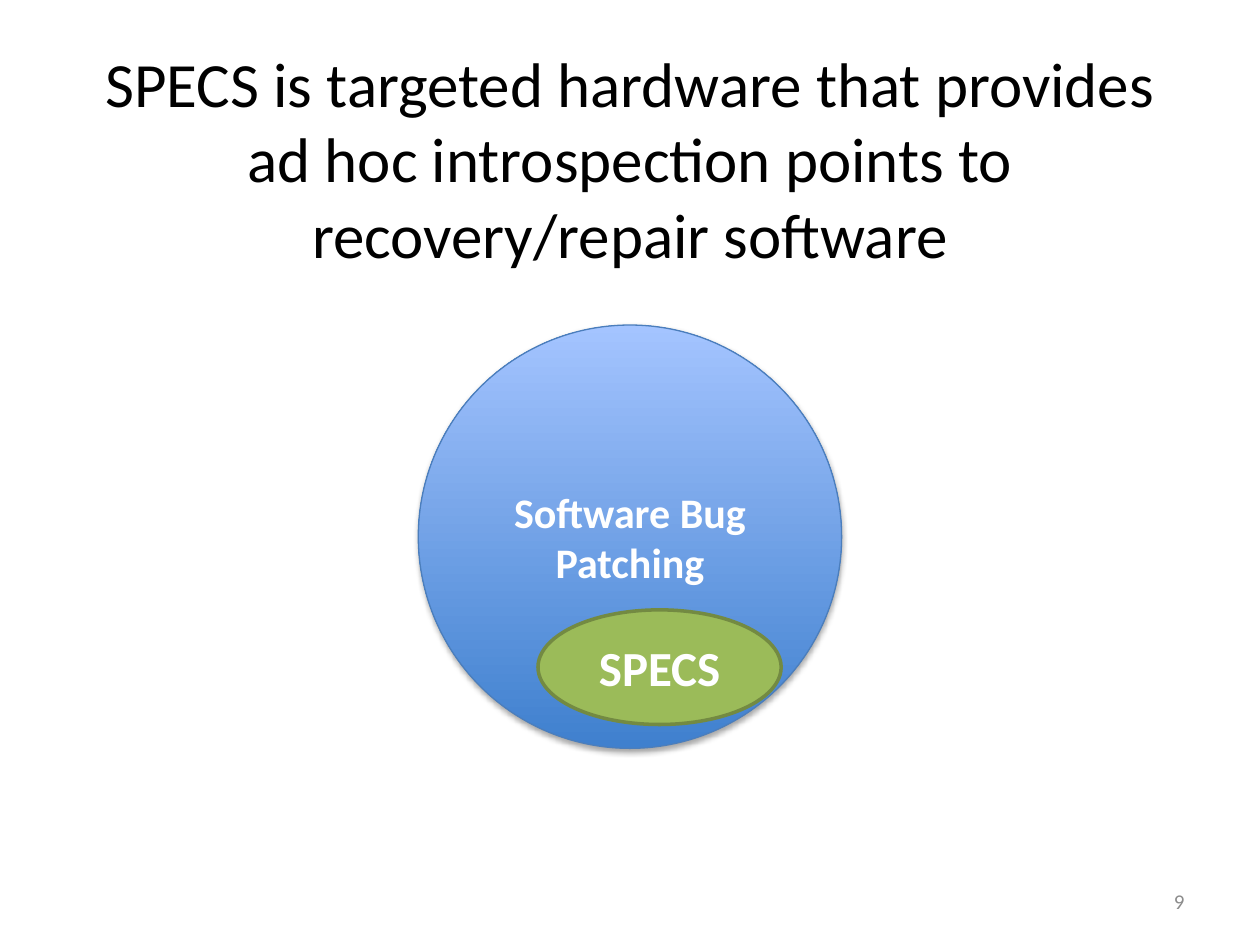
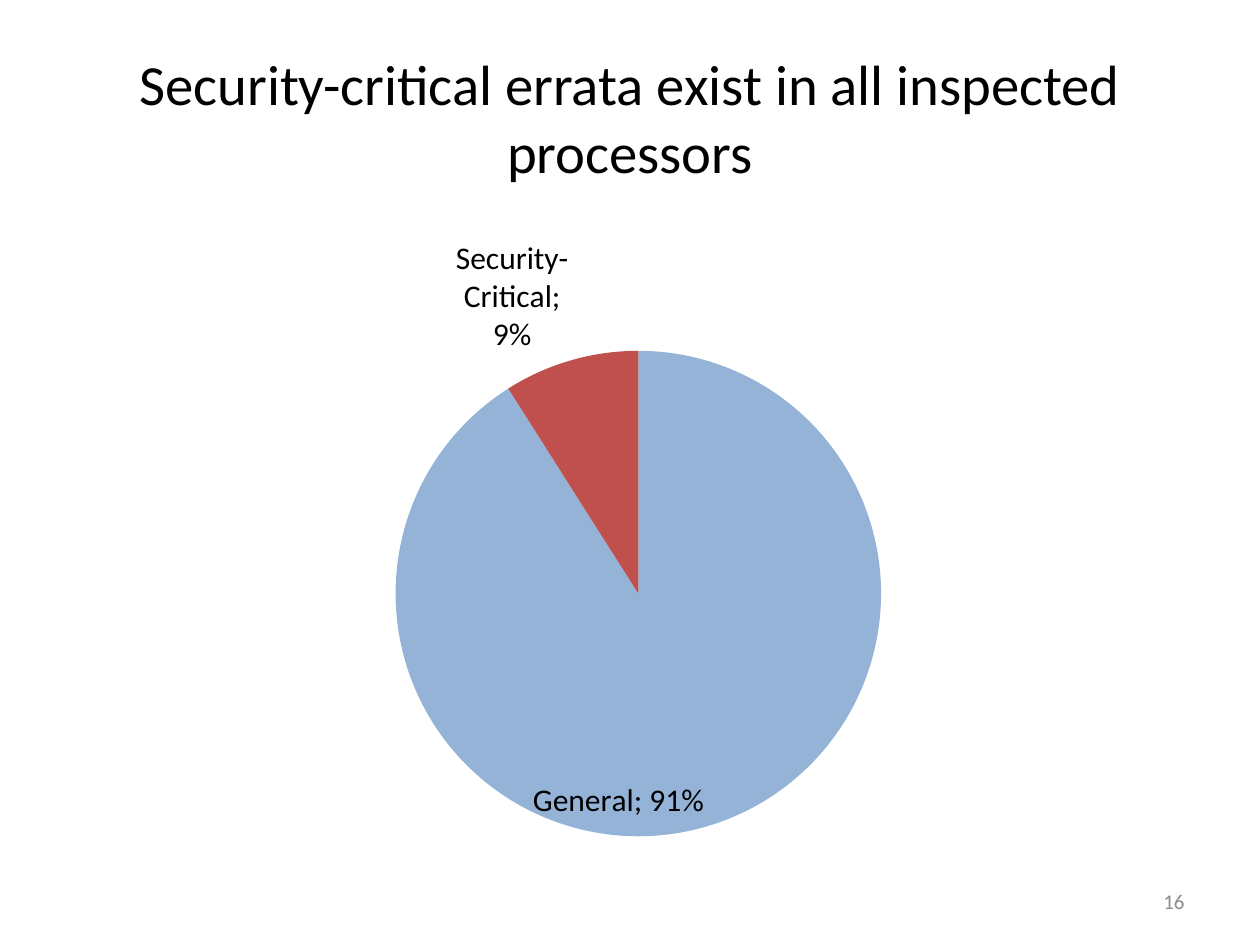
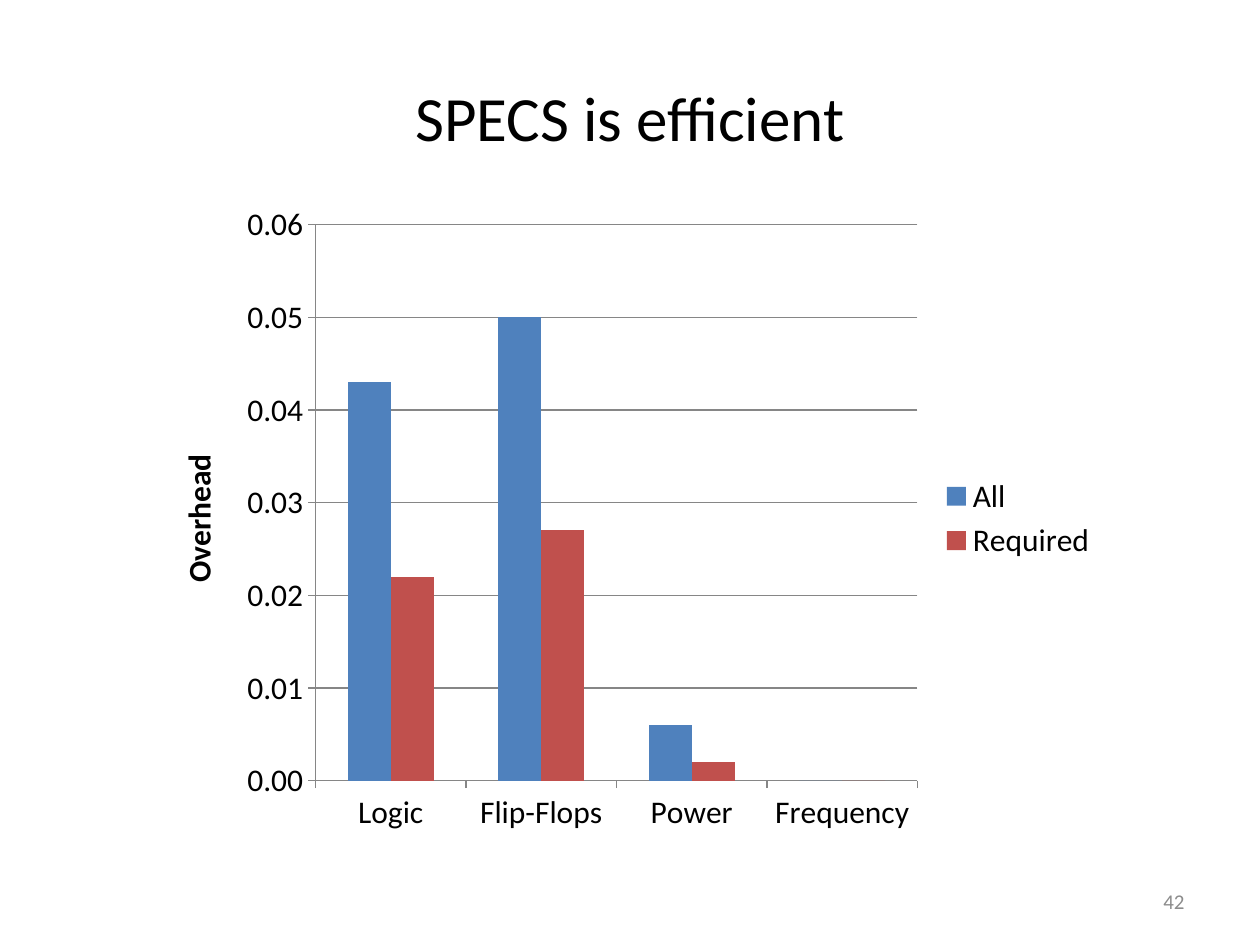
from dataclasses import dataclass
from typing import Any, Optional

import pptx
import pptx.chart.data
import pptx.dml.color
import pptx.enum.chart
import pptx.enum.shapes
import pptx.enum.text
import pptx.oxml
import pptx.oxml.ns
import pptx.util
from pptx.util import Inches

# Shared style
FONT = "Calibri"
COLORS = {
    "text": "000000",
    "white": "FFFFFF",
    "number": "8C8C8C",
    "axis": "868686",
    "blue": "4F81BD",
    "light blue": "95B3D7",
    "red": "C0504D",
    "green": "9BBB59",
    "green edge": "738A42",
    "circle bottom": "3F80CE",
    "circle top": "A4C4FF",
    "circle edge": "4B7EBC",
}
ALIGN = pptx.enum.text.PP_ALIGN
ANCHOR = pptx.enum.text.MSO_ANCHOR
CHART = pptx.enum.chart


@dataclass
class Box:
    left: float
    top: float
    width: float
    height: float

    def lengths(self) -> tuple:
        return tuple(Inches(value) for value in (self.left, self.top, self.width, self.height))


@dataclass
class Ellipse:
    text: str
    box: Box
    size: float
    fills: tuple  # one colour, or the bottom and top of a gradient
    edge: str
    edge_width: float
    shadow: bool = False


NUMBER_BOX = Box(7.17, 6.95, 2.33, 0.4)
ELLIPSES = [
    Ellipse("Software Bug Patching", Box(3.32, 2.58, 3.36, 3.36), 24,
            ("circle bottom", "circle top"), "circle edge", 0.75, shadow=True),
    Ellipse("SPECS", Box(4.27, 4.84, 1.93, 0.91), 28, ("green",), "green edge", 2),
]


def rgb(name: str) -> pptx.dml.color.RGBColor:
    return pptx.dml.color.RGBColor.from_string(COLORS[name])


def style_font(font: Any, size: float, color: str = "text", bold: bool = False) -> None:
    font.name = FONT
    font.size = pptx.util.Pt(size)
    font.bold = bold
    font.color.rgb = rgb(color)


def write(frame: Any, text: str, *, size: float, color: str = "text", bold: bool = False,
          align: Any = ALIGN.CENTER) -> None:
    paragraph = frame.paragraphs[0]
    paragraph.alignment = align
    run = paragraph.add_run()
    run.text = text
    style_font(run.font, size, color, bold)


def add_slide(presentation: Any, title: str, number: int, *, size: float = 36,
              height: float = 1.25, anchor: Any = ANCHOR.MIDDLE) -> Any:
    """Add a slide with its title and slide number."""
    slide = presentation.slides.add_slide(presentation.slide_layouts[5])
    shape = slide.shapes.title
    shape.left, shape.top, shape.width, shape.height = Box(0.5, 0.3, 9, height).lengths()
    frame = shape.text_frame
    frame.auto_size = pptx.enum.text.MSO_AUTO_SIZE.NONE
    frame.vertical_anchor = anchor
    write(frame, title, size=size)

    number_frame = slide.shapes.add_textbox(*NUMBER_BOX.lengths()).text_frame
    number_frame.word_wrap = True
    number_frame.vertical_anchor = ANCHOR.MIDDLE
    write(number_frame, str(number), size=12, color="number", align=ALIGN.RIGHT)
    return slide


def add_ellipse(slide: Any, ellipse: Ellipse) -> None:
    shape = slide.shapes.add_shape(
        pptx.enum.shapes.MSO_SHAPE.OVAL, *ellipse.box.lengths())
    if len(ellipse.fills) > 1:
        shape.fill.gradient()
        shape.fill.gradient_angle = 90
        for stop, position, name in zip(shape.fill.gradient_stops, (0, 1), ellipse.fills):
            stop.position = position
            stop.color.rgb = rgb(name)
    else:
        shape.fill.solid()
        shape.fill.fore_color.rgb = rgb(ellipse.fills[0])
    shape.line.color.rgb = rgb(ellipse.edge)
    shape.line.width = pptx.util.Pt(ellipse.edge_width)
    shape.shadow.inherit = False
    if ellipse.shadow:
        effects = shape._element.spPr.find(pptx.oxml.ns.qn("a:effectLst"))
        effects.append(pptx.oxml.parse_xml(
            f'<a:outerShdw {pptx.oxml.ns.nsdecls("a")} blurRad="40000" dist="23000" '
            'dir="5400000" rotWithShape="0"><a:srgbClr val="000000">'
            '<a:alpha val="35000"/></a:srgbClr></a:outerShdw>'))
    shape.text_frame.word_wrap = True
    shape.text_frame.vertical_anchor = ANCHOR.MIDDLE
    write(shape.text_frame, ellipse.text, size=ellipse.size, color="white", bold=True)


def add_chart(slide: Any, kind: Any, box: Box, categories: list, series: dict,
              number_format: str, plot_area: Optional[Box] = None) -> Any:
    data = pptx.chart.data.CategoryChartData(number_format=number_format)
    data.categories = categories
    for name, values in series.items():
        data.add_series(name, values)
    chart = slide.shapes.add_chart(kind, *box.lengths(), data).chart
    chart.has_title = False
    chart.has_legend = False
    style_font(chart.font, 18)
    if plot_area:
        # Place the plot as fractions of the chart
        fractions = {"x": plot_area.left, "y": plot_area.top,
                     "w": plot_area.width, "h": plot_area.height}
        modes = '<c:layoutTarget val="inner"/><c:xMode val="edge"/><c:yMode val="edge"/>'
        sizes = "".join(f'<c:{key} val="{value}"/>' for key, value in fractions.items())
        area = chart._chartSpace.chart.plotArea
        for layout in area.findall(pptx.oxml.ns.qn("c:layout")):
            area.remove(layout)
        area.insert(0, pptx.oxml.parse_xml(
            f'<c:layout {pptx.oxml.ns.nsdecls("c")}><c:manualLayout>{modes}{sizes}'
            '</c:manualLayout></c:layout>'))
    return chart


def add_errata_pie(slide: Any) -> None:
    chart = add_chart(slide, CHART.XL_CHART_TYPE.PIE, Box(2.55, 1.72, 4.84, 5.07),
                      ["General", "Security-Critical"], {"Series 1": (0.91, 0.09)}, "0%",
                      Box(0.12, 0.21, 0.8, 0.76))
    plot = chart.plots[0]
    plot.vary_by_categories = True
    series = plot.series[0]
    labels = series.data_labels
    labels.show_value = True
    labels.number_format = "0%"
    labels.number_format_is_linked = False
    positions = (CHART.XL_LABEL_POSITION.INSIDE_END, CHART.XL_LABEL_POSITION.OUTSIDE_END)
    for index, (name, position) in enumerate(zip(("light blue", "red"), positions)):
        point = series.points[index]
        point.format.fill.solid()
        point.format.fill.fore_color.rgb = rgb(name)
        point.data_label.position = position
    for flag in series._element.iter(pptx.oxml.ns.qn("c:showCatName")):
        flag.set("val", "1")


def add_overhead_columns(slide: Any) -> None:
    chart = add_chart(slide, CHART.XL_CHART_TYPE.COLUMN_CLUSTERED, Box(1.18, 1.53, 7.63, 5.17),
                      ["Logic", "Flip-Flops", "Power", "Frequency"],
                      {"All": (0.043, 0.05, 0.006, 0), "Required": (0.022, 0.027, 0.002, 0)},
                      "0.00")
    plot = chart.plots[0]
    plot.gap_width = 150
    plot.overlap = 0
    plot.vary_by_categories = False
    for series, name in zip(plot.series, ("blue", "red")):
        series.format.fill.solid()
        series.format.fill.fore_color.rgb = rgb(name)

    # Axes and legend
    value_axis = chart.value_axis
    value_axis.minimum_scale, value_axis.maximum_scale = 0, 0.06
    value_axis.major_unit = 0.01
    value_axis.has_major_gridlines = True
    value_axis.tick_labels.number_format = "0.00"
    value_axis.tick_labels.number_format_is_linked = False
    write(value_axis.axis_title.text_frame, "Overhead", size=18, bold=True)
    for part in (value_axis, chart.category_axis, value_axis.major_gridlines):
        part.format.line.color.rgb = rgb("axis")
        part.format.line.width = pptx.util.Pt(0.75)
    for axis in (value_axis, chart.category_axis):
        axis.major_tick_mark = CHART.XL_TICK_MARK.OUTSIDE
    chart.has_legend = True
    chart.legend.position = CHART.XL_LEGEND_POSITION.RIGHT
    chart.legend.include_in_layout = False


def main() -> None:
    presentation = pptx.Presentation()
    presentation.slide_width = Inches(10)
    presentation.slide_height = Inches(7.5)

    # Slide 1: nested ellipses
    slide = add_slide(presentation, "SPECS is targeted hardware that provides ad hoc "
                      "introspection points to recovery/repair software", 9,
                      height=1.84, anchor=ANCHOR.TOP)
    for ellipse in ELLIPSES:
        add_ellipse(slide, ellipse)

    # Slide 2: pie of errata
    add_errata_pie(add_slide(
        presentation, "Security-critical errata exist in all inspected processors", 16, size=32.4))

    # Slide 3: columns of overhead
    add_overhead_columns(add_slide(presentation, "SPECS is efficient", 42))

    presentation.save("out.pptx")


if __name__ == "__main__":
    main()
